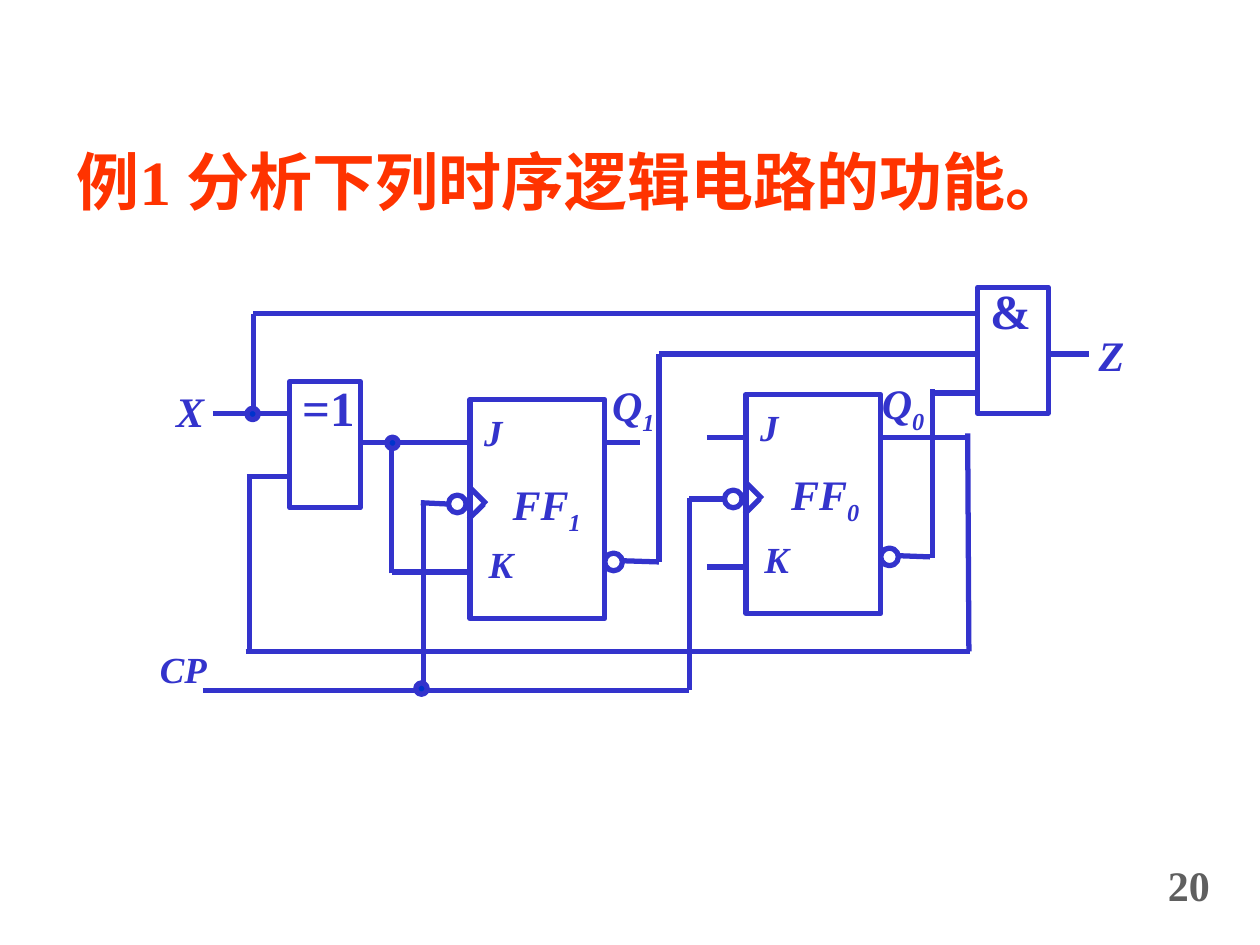
from lxml.etree import SubElement
from pptx import Presentation
from pptx.dml.color import RGBColor
from pptx.enum.shapes import MSO_CONNECTOR as CONNECTOR, MSO_SHAPE as SHAPE
from pptx.enum.text import MSO_AUTO_SIZE as AUTO_SIZE, PP_ALIGN as ALIGN
from pptx.oxml.ns import qn
from pptx.util import Emu, Pt

PX = 9144  # 100 px to the inch
LATIN, CJK = "Times New Roman", "Noto Sans CJK SC"
BLUE, DOT_BLUE, RED, GREY = "3333CC", "0033CC", "FF3300", "5F5F5F"

# Text formats: font, paragraph and frame attributes
SIGNAL = {"font": {"size": Pt(24), "bold": True, "italic": True}}
GATE = {"font": {"size": Pt(28), "bold": True}}
PIN = {
    "font": {"size": Pt(21), "bold": True, "italic": True},
    "paragraph": {"alignment": ALIGN.CENTER, "line_spacing": 0.9},
    "frame": {"margin_left": 8 * PX, "margin_right": 8 * PX,
              "margin_top": 4 * PX, "margin_bottom": 4 * PX,
              "auto_size": AUTO_SIZE.NONE},
}
TITLE = {"font": {"size": Pt(36), "bold": True},
         "paragraph": {"line_spacing": 0.9}}
NUMBER = {"font": {"size": Pt(24), "bold": True},
          "paragraph": {"line_spacing": 0.9}}


def px(*lengths):
    return [Emu(length * PX) for length in lengths]


def paint(color_format, color):
    color_format.rgb = RGBColor.from_string(color)


def apply(target, values):
    for name, value in values.items():
        setattr(target, name, value)


def add_text(slide, box, runs, style, color=BLUE, hanging=0):
    """Each run is (text, font name, baseline in percent)."""
    frame = slide.shapes.add_textbox(*px(*box)).text_frame
    apply(frame, {"word_wrap": True, "auto_size": AUTO_SIZE.SHAPE_TO_FIT_TEXT,
                  **style.get("frame", {})})
    paragraph = frame.paragraphs[0]
    apply(paragraph, style.get("paragraph", {}))
    if hanging:
        properties = paragraph._p.get_or_add_pPr()
        properties.set("marL", str(hanging * PX))
        properties.set("indent", str(-hanging * PX))
    for text, font_name, baseline in runs:
        run = paragraph.add_run()
        run.text = text
        apply(run.font, {"name": font_name, **style["font"]})
        paint(run.font.color, color)
        properties = run._r.get_or_add_rPr()
        SubElement(properties, qn("a:ea")).set("typeface", font_name)
        if baseline:
            properties.set("baseline", str(baseline * 1000))


def add_label(slide, box, text, style, subscript=""):
    runs = [(text, LATIN, 0)]
    if subscript:
        runs.append((subscript, LATIN, -25))
    add_text(slide, box, runs, style)


def add_outline(slide, kind, box, fill=None):
    shape = slide.shapes.add_shape(kind, *px(*box))
    shape.shadow.inherit = False
    if fill:
        shape.fill.solid()
        paint(shape.fill.fore_color, fill)
    else:
        shape.fill.background()
    paint(shape.line.color, BLUE)
    shape.line.width = Pt(3)


def add_wire(slide, x1, y1, x2, y2):
    wire = slide.shapes.add_connector(CONNECTOR.STRAIGHT, *px(x1, y1, x2, y2))
    paint(wire.line.color, BLUE)
    wire.line.width = Pt(3)
    SubElement(wire._element.spPr, qn("a:effectLst"))


def draw_flip_flop(slide, box, lead):
    """JK flip-flop whose J and K input wires start `lead` px to its left."""
    left, top, width, height = box
    add_outline(slide, SHAPE.RECTANGLE, box)
    # Inverting clock input and inverted output
    for x, y in ((-17, 76), (width, 122)):
        add_outline(slide, SHAPE.OVAL, (left + x, top + y, 14, 14))
    # Clock edge mark
    for x1, y1, x2, y2 in ((11, 83, -1, 95), (0, 70, 13, 83)):
        add_wire(slide, left + x1, top + y1, left + x2, top + y2)
    # Inputs with their pin names
    for pin, y, x, text_y in (("J", 34, -13, 8), ("K", 137, -7, 113)):
        add_wire(slide, left - lead, top + y, left - 2, top + y)
        add_label(slide, (left + x, top + text_y, 63, 43), pin, PIN)
    # Output Q
    add_wire(slide, left + width - 1, top + 34, left + width + 28, top + 34)


def draw_gate(slide, box, symbol, rise):
    left, top, width, height = box
    add_outline(slide, SHAPE.RECTANGLE, box)
    add_label(slide, (left, top - rise, 67, 57), symbol, GATE)


def draw_wiring(slide):
    wires = (
        # X to both gates
        (169, 328, 229, 328), (201, 328, 201, 249), (201, 249, 776, 249),
        # XOR output to J1 and K1
        (285, 351, 319, 351), (311, 455, 311, 353),
        # Inverted Q1 to the AND gate
        (493, 445, 523, 446), (523, 446, 523, 281), (523, 281, 776, 281),
        # Inverted Q0 to the AND gate
        (712, 441, 738, 442), (740, 443, 740, 309), (742, 312, 775, 312),
        # Q0 fed back to the XOR gate
        (706, 347, 766, 347), (769, 517, 768, 344), (195, 517, 770, 517),
        (198, 515, 198, 378), (196, 378, 229, 378),
        # Clock line
        (161, 548, 547, 548), (336, 548, 336, 399), (334, 399, 355, 400),
        (547, 548, 547, 395), (547, 396, 574, 396),
        # Output Z
        (831, 281, 864, 281),
    )
    for wire in wires:
        add_wire(slide, *wire)
    # Junction dots
    for x, y in ((196, 324), (307, 347), (330, 542)):
        add_outline(slide, SHAPE.OVAL, (x, y, 9, 9), DOT_BLUE)


def draw_signal_names(slide):
    names = (
        ((130, 301, 68, 50), "X", SIGNAL, ""),
        ((862, 257, 68, 50), "Z", SIGNAL, ""),
        ((476, 296, 68, 56), "Q", SIGNAL, "1"),
        ((690, 295, 68, 56), "Q", SIGNAL, "0"),
        ((397, 375, 79, 56), "FF", SIGNAL, "1"),
        ((618, 367, 79, 56), "FF", SIGNAL, "0"),
        ((114, 513, 63, 43), "CP", PIN, ""),
    )
    for name in names:
        add_label(slide, *name)


def main():
    presentation = Presentation()
    presentation.slide_width, presentation.slide_height = px(1000, 750)
    slide = presentation.slides.add_slide(presentation.slide_layouts[6])

    # Circuit
    draw_flip_flop(slide, (373, 317, 107, 174), 62)
    draw_flip_flop(slide, (592, 313, 107, 174), 31)
    draw_gate(slide, (230, 303, 56, 100), "=1", 8)
    draw_gate(slide, (776, 228, 56, 100), "&", 10)
    draw_wiring(slide)
    draw_signal_names(slide)

    # Title and page number
    title = [("例", CJK, 0), ("1 ", LATIN, 0),
             ("分析下列时序逻辑电路的功能。", CJK, 0)]
    add_text(slide, (51, 115, 787, 118), title, TITLE, RED, hanging=38)
    add_text(slide, (917, 682, 63, 46), [("20", LATIN, 0)], NUMBER, GREY)

    presentation.save("out.pptx")


if __name__ == "__main__":
    main()
